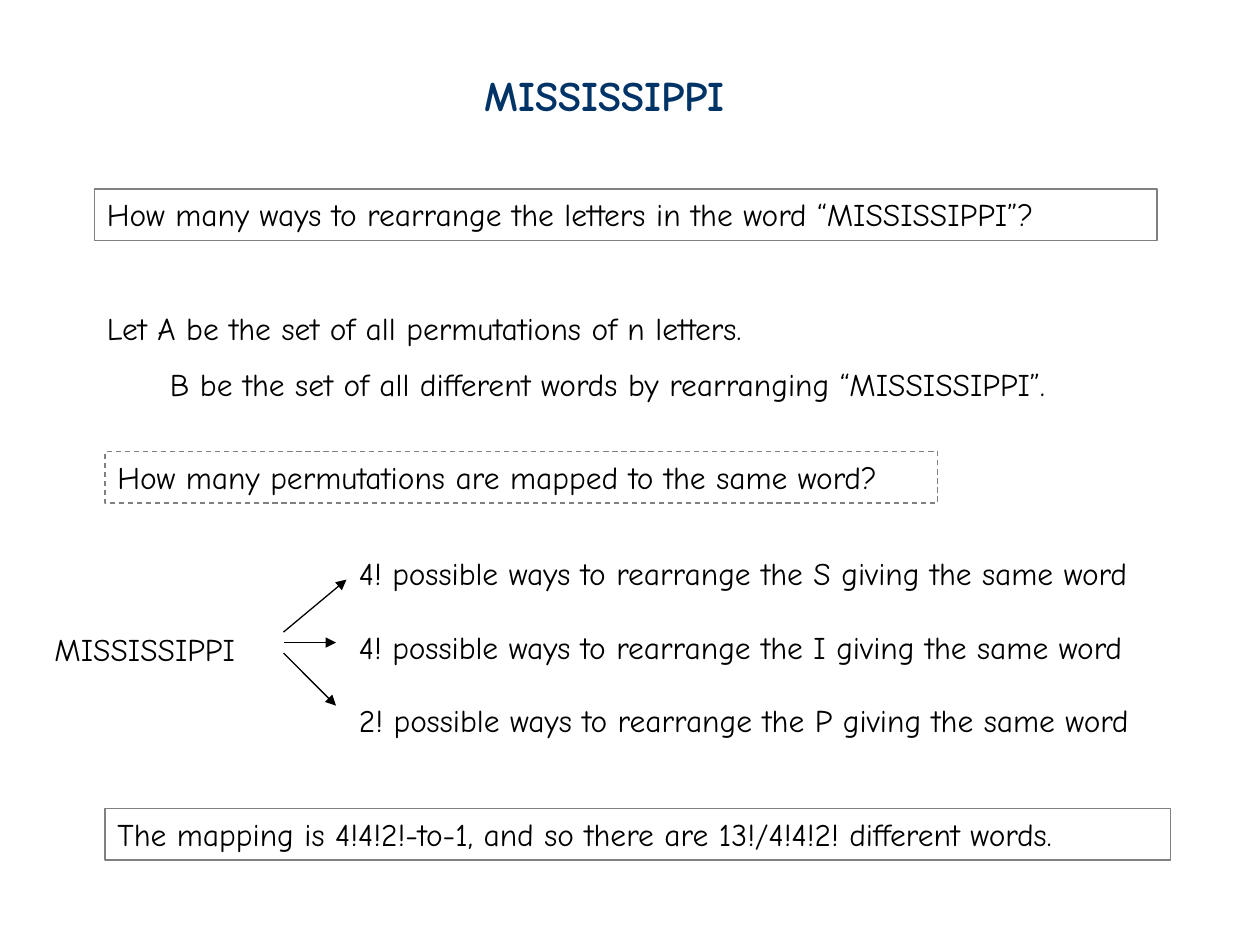
from pptx import Presentation
from pptx.dml.color import RGBColor
from pptx.enum.dml import MSO_LINE
from pptx.enum.shapes import MSO_CONNECTOR, MSO_SHAPE
from pptx.enum.text import MSO_ANCHOR, PP_ALIGN
from pptx.oxml.ns import qn
from pptx.util import Inches, Pt
from lxml.etree import SubElement

NAVY = RGBColor(0x00, 0x33, 0x66)
BLACK = RGBColor(0x00, 0x00, 0x00)
GRAY = RGBColor(0x80, 0x80, 0x80)

presentation = Presentation()
presentation.slide_width = Inches(10)
presentation.slide_height = Inches(7.5)
slide = presentation.slides.add_slide(presentation.slide_layouts[6])
column = presentation.slide_width / 120
row = presentation.slide_height / 90


def add_text(text, left, top, width, height=4.8, size=18, color=BLACK, bold=False, framed=False, dash=None):
    box = [int(left * column), int(top * row), int(width * column), int(height * row)]
    if framed:
        shape = slide.shapes.add_shape(MSO_SHAPE.RECTANGLE, *box)
        shape.shadow.inherit = False
        shape.fill.background()
        shape.line.color.rgb = GRAY
        shape.line.width = Pt(0.75)
        if dash is not None:
            shape.line.dash_style = dash
    else:
        shape = slide.shapes.add_textbox(*box)
    frame = shape.text_frame
    frame.word_wrap = True
    frame.vertical_anchor = MSO_ANCHOR.TOP
    frame.text = text
    for paragraph in frame.paragraphs:
        paragraph.alignment = PP_ALIGN.LEFT
        font = paragraph.runs[0].font
        font.name = "Comic Neue"
        font.size = Pt(size)
        font.bold = bold
        font.color.rgb = color
    return frame


add_text("MISSISSIPPI", 45, 6, 30, height=6, size=24, color=NAVY, bold=True)
add_text("How many ways to rearrange the letters in the word “MISSISSIPPI”?", 9, 18, 101.2, height=4.9, framed=True)

definitions = add_text(
    "Let A be the set of all permutations of n letters.\n"
    "B be the set of all different words by rearranging “MISSISSIPPI”.",
    9, 28.8, 102.6, height=10.2)
second_line = definitions.paragraphs[1]
second_line.line_spacing = 1.5
second_line._p.get_or_add_pPr().set("marL", str(int(6 * column)))

add_text("How many permutations are mapped to the same word?", 10, 43, 79.3, height=4.9, framed=True, dash=MSO_LINE.DASH)

add_text("MISSISSIPPI", 4, 59.4, 23.2)
for index, (count, letter) in enumerate([(4, "S"), (4, "I"), (2, "P")]):
    add_text(f"{count}! possible ways to rearrange the {letter} giving the same word", 33, 52.2 + 7 * index, 81.8)

for start_row, end_column, end_row in [(60.2, 33, 55.2), (61.2, 32, 61.2), (62.2, 32, 67.2)]:
    arrow = slide.shapes.add_connector(
        MSO_CONNECTOR.STRAIGHT,
        int(27 * column), int(start_row * row), int(end_column * column), int(end_row * row))
    arrow.line.color.rgb = BLACK
    arrow.line.width = Pt(0.75)
    SubElement(arrow.line._get_or_add_ln(), qn("a:tailEnd"), type="triangle")
    SubElement(arrow._element.spPr, qn("a:effectLst"))

add_text("The mapping is 4!4!2!-to-1, and so there are 13!/4!4!2! different words.", 10, 77, 101.5, height=4.9, framed=True)

presentation.save("out.pptx")
